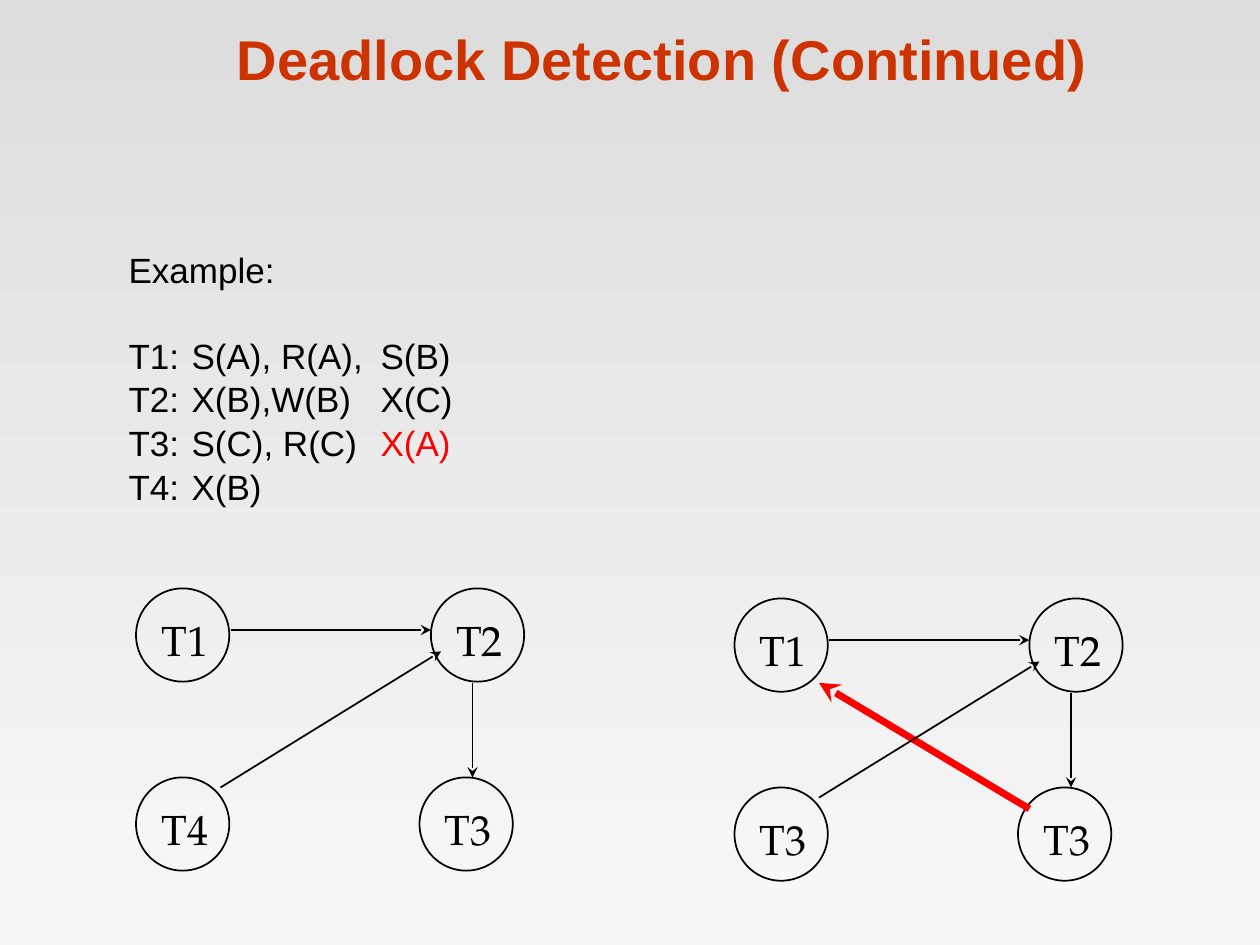
"""Build the deadlock detection slide with its schedule and two wait-for graphs."""
from lxml import etree
from pptx import Presentation, util as u
from pptx.dml.color import RGBColor
from pptx.enum import shapes, text
from pptx.oxml.ns import qn

THEME = {
    "sans": "Arial", "serif": "TeX Gyre Pagella",
    "title": 32, "body": 20, "node": 24,
    "head": "CC3300", "ink": "000000", "alert": "FF0000",
    "top": "DDDDDD", "base": "F8F8F8",
}

TITLE = "Deadlock Detection (Continued)"
INTRO = "Example:"
PLAN = [
    ("T1:", [(0.55, "S(A), R(A),", "ink"), (3.06, "S(B)", "ink")]),
    ("T2:", [(2.6, "X(B),W(B)", "ink"), (6.14, "X(C)", "ink")]),
    ("T3:", [(4.67, "S(C), R(C)", "ink"), (7.68, "X(A)", "alert")]),
    ("T4:", [(6.91, "X(B)", "ink")]),
]

SPOTS = [(0, 0), (2.34, 0), (0, 1.5), (2.25, 1.5)]
ACROSS = (0.75, 0.33, 2.34, 0.33, "ink", 1)
DOWN = (2.67, 0.75, 2.67, 1.5, "ink", 1)
RISE = (0.67, 1.58, 2.42, 0.5, "ink", 1)
CYCLE = (2.34, 1.67, 0.67, 0.67, "alert", 4)
GRAPHS = [
    (1.08, 4.67, ["T1", "T2", "T4", "T3"], [ACROSS, DOWN, RISE]),
    (5.83, 4.75, ["T1", "T2", "T3", "T3"], [ACROSS, DOWN, CYCLE, RISE]),
]
SIZE = 0.74


def tint(name):
    return RGBColor.from_string(THEME[name])


def place(shape, *box):
    shape.left, shape.top, shape.width, shape.height = map(u.Inches, box)


def style(para, face, size, color="ink", bold=False):
    font = para.font
    font.name, font.size, font.bold = THEME[face], u.Pt(THEME[size]), bold
    font.color.rgb = tint(color)


def flush(para, stops):
    props = para._p.get_or_add_pPr()
    props.set("marL", "0")
    props.set("indent", "0")
    etree.SubElement(props, qn("a:buNone"))
    tabs = etree.SubElement(props, qn("a:tabLst"))
    for stop in stops:
        etree.SubElement(tabs, qn("a:tab"), pos=str(u.Inches(stop)), algn="l")


def fill_body(body):
    place(body, 0.92, 1.92, 8.5, 2.5)
    frame = body.text_frame
    frame.auto_size = text.MSO_AUTO_SIZE.NONE
    for row, (name, steps) in enumerate([(INTRO, [])] + PLAN):
        para = frame.add_paragraph() if row else frame.paragraphs[0]
        flush(para, [stop for stop, _, _ in steps])
        para.space_before = u.Pt(25 if row == 1 else 1)
        style(para, "sans", "body")
        para.add_run().text = name
        for _, step, color in steps:
            run = para.add_run()
            run.text = "\t" + step
            if color != "ink":
                run.font.color.rgb = tint(color)


def add_ring(slide, x, y):
    ring = slide.shapes.add_shape(
        shapes.MSO_SHAPE.OVAL, *map(u.Inches, (x, y, SIZE, SIZE)))
    ring.shadow.inherit = False
    ring.fill.background()
    ring.line.color.rgb = tint("ink")
    ring.line.width = u.Pt(1)


def add_label(slide, x, y, name):
    box = slide.shapes.add_textbox(
        *map(u.Inches, (x + 0.08, y + 0.16, 0.59, 0.5)))
    frame = box.text_frame
    frame.word_wrap = False
    frame.auto_size = text.MSO_AUTO_SIZE.SHAPE_TO_FIT_TEXT
    para = frame.paragraphs[0]
    para.text = name
    para.alignment = text.PP_ALIGN.RIGHT
    style(para, "serif", "node")


def add_arrow(slide, ends, color, width):
    arrow = slide.shapes.add_connector(
        shapes.MSO_CONNECTOR.STRAIGHT, *map(u.Inches, ends))
    arrow.line.color.rgb = tint(color)
    arrow.line.width = u.Pt(width)
    etree.SubElement(arrow.line._get_or_add_ln(), qn("a:tailEnd"), type="stealth")
    etree.SubElement(arrow._element.spPr, qn("a:effectLst"))


def add_graph(slide, left, top, names, edges):
    spots = [(left + x, top + y) for x, y in SPOTS]
    for spot in spots:
        add_ring(slide, *spot)
    for spot, name in zip(spots, names):
        add_label(slide, *spot, name)
    for x1, y1, x2, y2, color, width in edges:
        ends = (left + x1, top + y1, left + x2, top + y2)
        add_arrow(slide, ends, color, width)


def main():
    deck = Presentation()
    deck.slide_width, deck.slide_height = u.Inches(10), u.Inches(7.5)
    slide = deck.slides.add_slide(deck.slide_layouts[1])

    fill = slide.background.fill
    fill.gradient()
    fill.gradient_angle = 270
    for stop, name, at in zip(fill.gradient_stops, ("top", "base"), (0, 1)):
        stop.color.rgb, stop.position = tint(name), at

    title, body = slide.placeholders
    place(title, 0.84, 0.13, 8.83, 0.67)
    title.text_frame.auto_size = text.MSO_AUTO_SIZE.NONE
    para = title.text_frame.paragraphs[0]
    para.text = TITLE
    para.alignment = text.PP_ALIGN.CENTER
    style(para, "sans", "title", "head", True)

    fill_body(body)
    for graph in GRAPHS:
        add_graph(slide, *graph)
    deck.save("out.pptx")


if __name__ == "__main__":
    main()
